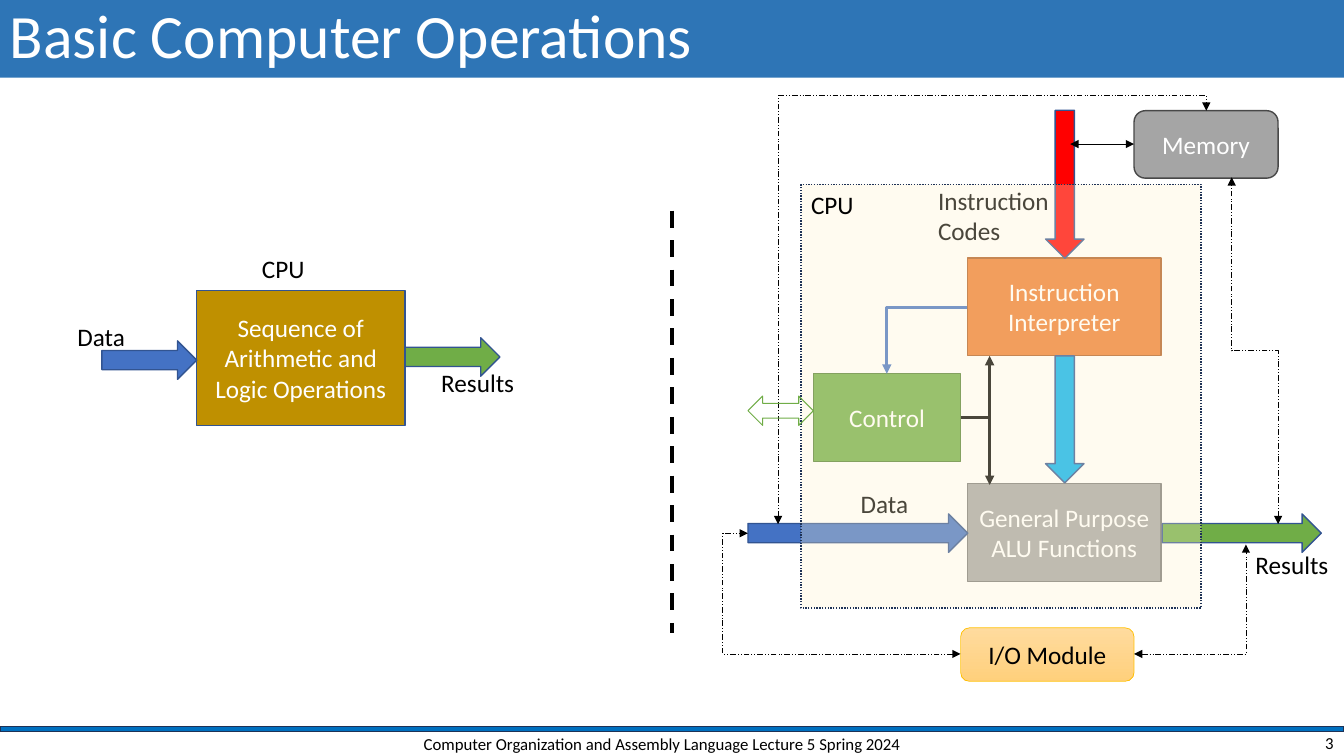
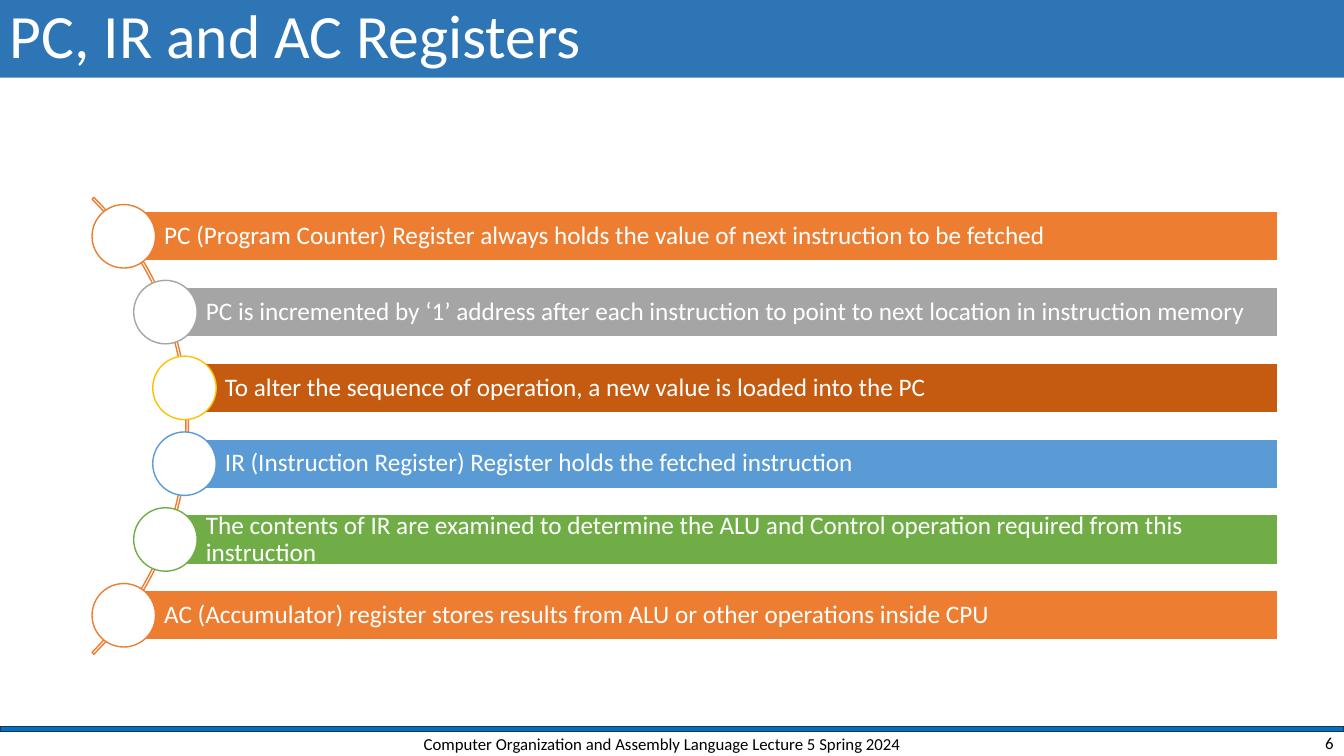
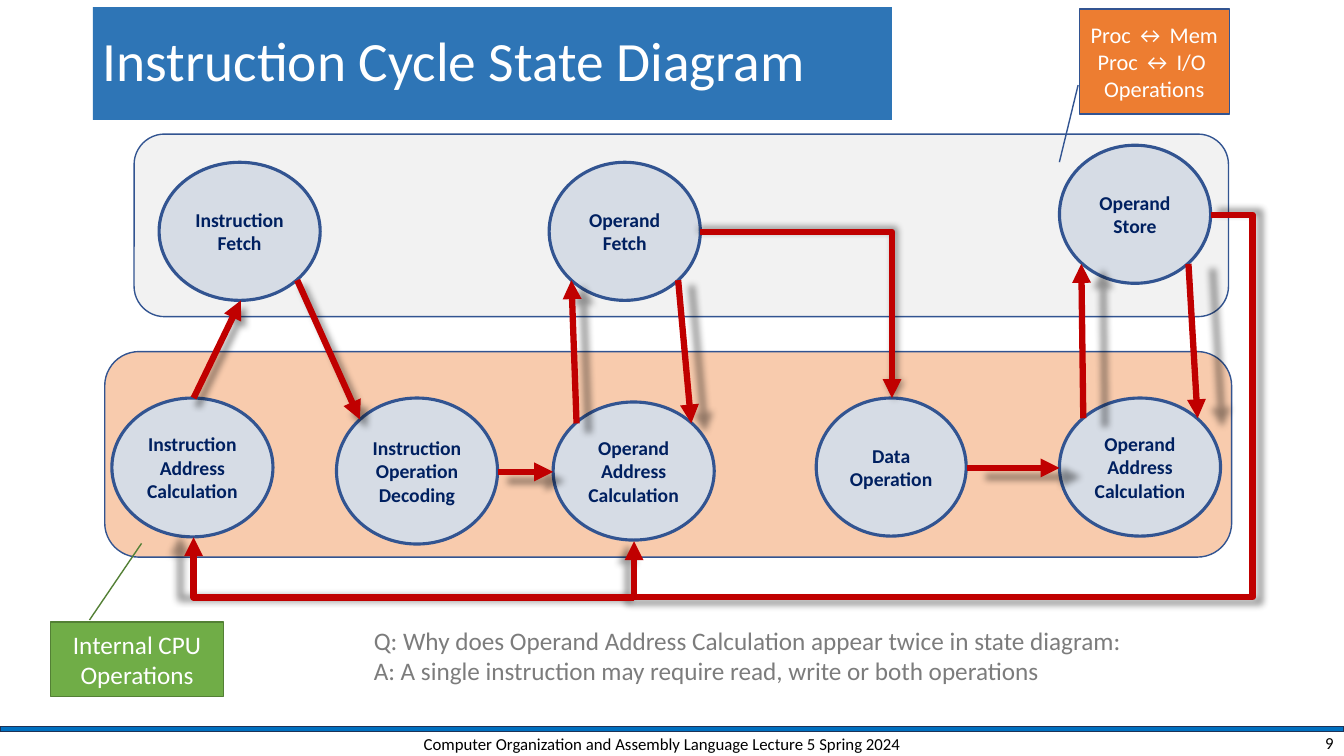
from lxml.etree import SubElement as Sub
from pptx import Presentation
from pptx.dml.color import RGBColor as RGB
from pptx.enum.dml import MSO_LINE as Dash
from pptx.enum.shapes import MSO_CONNECTOR as Con, MSO_SHAPE as Geo
from pptx.enum.text import MSO_ANCHOR as Anchor, MSO_AUTO_SIZE as Auto, PP_ALIGN as Align
from pptx.oxml.ns import qn
from pptx.util import Cm, Pt

INK = {
    "white": "FFFFFF", "black": "000000", "title": "2E75B6", "band": "0070C0",
    "edge": "1E3256", "rim": "325491", "blue": "4472C4", "sky": "5B9BD5",
    "cyan": "00B0F0", "green": "70AD47", "moss": "538035", "orange": "ED7D31",
    "rust": "AF5C24", "brown": "C55A11", "gold": "FFC000", "ochre": "BF9000",
    "cream": "FFF2CC", "peach": "F8CBAD", "honey": "FFDB9E", "amber": "FFD07C",
    "grey": "A5A5A5", "slate": "7A7A7A", "coal": "484848", "mist": "F2F2F2",
    "state": "D6DCE5", "navy": "002060", "red": "FF0000", "crimson": "C00000",
    "note": "7C7C7C",
}
WIDE, HIGH = 33.87, 19.05
COURSE = "Computer Organization and Assembly Language Lecture 5 Spring 2024"

# Text formats
BODY = {"size": Pt(18), "name": "Calibri"}
HEAD = {**BODY, "size": Pt(44)}
FOOT = {**BODY, "size": Pt(12)}
STATE = {**BODY, "size": Pt(14), "bold": True}
CENTER = {"alignment": Align.CENTER}
TIGHT = {"alignment": Align.LEFT, "line_spacing": 0.9}

# Line formats
THIN = {"width": Pt(0.5)}
DOTTED = {**THIN, "dash_style": Dash.DASH_DOT_DOT}
BOLD = {"width": Pt(2.25)}
FLOW = {"width": Pt(4.5)}


def put(item, form):
    for key, val in form.items():
        setattr(item, key, val)


def tone(name):
    return RGB.from_string(INK[name])


def write(item, text, ink="white", font=BODY, para=CENTER, frame=None):
    body = item.text_frame
    put(body, {"word_wrap": True, "vertical_anchor": Anchor.MIDDLE, **(frame or {})})
    body.text = text
    for par in body.paragraphs:
        put(par, para)
        put(par.font, font)
        par.font.color.rgb = tone(ink)


def shape(slide, geo, at, fill=None, rim="rim", width=1, adj=()):
    item = slide.shapes.add_shape(geo, *map(Cm, at))
    item.shadow.inherit = False
    if fill:
        item.fill.solid()
        item.fill.fore_color.rgb = tone(fill)
    else:
        item.fill.background()
    if rim:
        item.line.color.rgb = tone(rim)
        item.line.width = Pt(width)
    else:
        item.line.fill.background()
    for num, val in enumerate(adj):
        item.adjustments[num] = val
    return item


def label(slide, text, at, ink="black"):
    box = slide.shapes.add_textbox(*map(Cm, at))
    frame = {"word_wrap": False, "auto_size": Auto.SHAPE_TO_FIT_TEXT,
             "vertical_anchor": Anchor.TOP}
    write(box, text, ink, para={"alignment": Align.LEFT}, frame=frame)


def wire(slide, ends, form, ink="black", heads="t", bend=None, adj=(), shade=False):
    """Straight line, or an elbow whose first leg is level (preset number in bend)."""
    kind = Con.ELBOW if bend else Con.STRAIGHT
    item = slide.shapes.add_connector(kind, *map(Cm, ends))
    props = item._element.spPr
    if bend:
        geom = props.find(qn("a:prstGeom"))
        geom.set("prst", f"bentConnector{bend}")
        guides = geom.find(qn("a:avLst"))
        if guides is None:
            guides = Sub(geom, qn("a:avLst"))
        for num, val in enumerate(adj, 1):
            Sub(guides, qn("a:gd"), name=f"adj{num}", fmla=f"val {round(val * 100000)}")
    item.line.color.rgb = tone(ink)
    put(item.line, form)
    line = props.find(qn("a:ln"))
    for key, tag in (("h", "a:headEnd"), ("t", "a:tailEnd")):
        if key in heads:
            Sub(line, qn(tag), type="triangle")
    effects = Sub(props, qn("a:effectLst"))
    if shade:
        glow = Sub(effects, qn("a:outerShdw"), blurRad=str(Pt(5)), sx="102000",
                   sy="102000", algn="ctr", rotWithShape="0")
        color = Sub(glow, qn("a:srgbClr"), val=INK["black"])
        Sub(color, qn("a:alpha"), val="40000")
    return item


def riser(slide, ends, adj):
    """Dotted elbow that leaves upwards: the level elbow turned by 270 degrees."""
    left, low, right, top = ends
    midx, midy = (left + right) / 2, (low + top) / 2
    side, rise = (right - left) / 2, (low - top) / 2
    turned = (midx - rise, midy - side, midx + rise, midy + side)
    item = wire(slide, turned, DOTTED, heads="ht", bend=3, adj=(adj,))
    item._element.spPr.find(qn("a:xfrm")).set("rot", str(270 * 60000))


def start(deck, title, page, at=(0, 0, WIDE, 1.96), size=44, under=()):
    """New slide with band, title, footer and page number."""
    slide = deck.slides.add_slide(deck.slide_layouts[6])
    shape(slide, Geo.RECTANGLE, (0, 18.31, WIDE, 0.13), "band", "edge")
    for spot, fill in under:
        shape(slide, Geo.ROUNDED_RECTANGLE, spot, fill)
    bar = shape(slide, Geo.RECTANGLE, at, "title", None)
    write(bar, title, font={**HEAD, "size": Pt(size)}, para=TIGHT)
    for text, spot, side in (
        (COURSE, (9.96, 18.39, 13.46, 0.71), Align.CENTER),
        (str(page), (26.24, 18.39, 7.62, 0.64), Align.RIGHT),
    ):
        box = slide.shapes.add_textbox(*map(Cm, spot))
        write(box, text, "black", FOOT, {"alignment": side})
    return slide


def basics(deck):
    slide = start(deck, "Basic Computer Operations", 3)

    # Blocks
    for text, at, fill, rim in (
        ("Sequence of Arithmetic and Logic Operations", (4.95, 7.32, 5.26, 3.4), "ochre", "rim"),
        ("Instruction Interpreter", (24.38, 6.5, 4.88, 2.46), "orange", "rust"),
        ("Control", (20.5, 9.42, 3.71, 2.21), "green", "moss"),
        ("General Purpose ALU Functions", (24.38, 12.19, 4.88, 2.46), "grey", "slate"),
    ):
        write(shape(slide, Geo.RECTANGLE, at, fill, rim), text)

    # Block arrows
    for geo, at, fill in (
        (Geo.RIGHT_ARROW, (2.57, 8.59, 2.39, 0.97), "blue"),
        (Geo.RIGHT_ARROW, (10.21, 8.51, 2.39, 0.97), "green"),
        (Geo.DOWN_ARROW, (26.35, 2.78, 0.97, 3.73), "red"),
        (Geo.RIGHT_ARROW, (18.85, 12.95, 5.54, 0.97), "blue"),
        (Geo.RIGHT_ARROW, (29.29, 12.95, 4.01, 0.97), "green"),
        (Geo.DOWN_ARROW, (26.35, 8.97, 0.97, 3.2), "cyan"),
    ):
        shape(slide, geo, at, fill)

    # Labels under the CPU veil
    label(slide, "Instruction\nCodes", (23.39, 4.55, 3.33, 1.8))
    label(slide, "Data", (21.44, 12.17, 1.73, 1.02))

    # Control wires and divider
    wire(slide, (24.21, 10.52, 24.94, 8.97), BOLD, bend=2)
    wire(slide, (24.94, 10.52, 24.94, 12.22), BOLD)
    wire(slide, (24.38, 7.75, 22.35, 9.42), BOLD, "blue", bend=2)
    wire(slide, (16.94, 5.31, 16.94, 15.95),
         {"width": Pt(3), "dash_style": Dash.DASH}, heads="")

    # CPU veil
    veil = shape(slide, Geo.RECTANGLE, (20.19, 4.65, 10.08, 10.67), "cream", "edge")
    veil.line.dash_style = Dash.ROUND_DOT
    color = veil._element.spPr.find(qn("a:solidFill")).find(qn("a:srgbClr"))
    Sub(color, qn("a:alpha"), val="29000")

    # Labels on top
    for text, at in (
        ("CPU", (20.19, 4.65, 1.6, 1.02)), ("CPU", (6.35, 6.27, 1.6, 1.02)),
        ("Data", (1.7, 7.98, 1.73, 1.02)), ("Results", (10.87, 9.14, 2.36, 1.02)),
        ("Results", (31.39, 13.72, 2.36, 1.02)),
    ):
        label(slide, text, at)

    # Memory and I/O
    store = shape(slide, Geo.ROUNDED_RECTANGLE, (28.58, 2.79, 3.63, 1.7), "grey", "coal")
    write(store, "Memory")
    port = shape(slide, Geo.ROUNDED_RECTANGLE, (24.21, 15.82, 4.37, 1.35), None, "gold", 0.5)
    port.fill.gradient()
    port.fill.gradient_angle = 270
    for stop, name in zip(port.fill.gradient_stops, ("honey", "amber")):
        stop.color.rgb = tone(name)
    write(port, "I/O Module", "black")

    # Outer wires
    wire(slide, (28.58, 3.63, 26.97, 3.63), THIN, heads="ht")
    wire(slide, (24.21, 16.48, 18.85, 13.44), DOTTED, heads="ht", bend=3, adj=(1.118,))
    wire(slide, (28.58, 16.48, 31.4, 13.72), DOTTED, heads="ht", bend=2)
    riser(slide, (32.21, 13.21, 31.04, 4.47), 0.5)
    riser(slide, (19.61, 13.21, 30.4, 2.79), 1.036)
    shape(slide, Geo.LEFT_RIGHT_ARROW, (18.85, 9.98, 1.65, 0.74), None, "green", 0.75)


def regs(deck):
    slide = start(deck, "PC, IR and AC Registers", 6)
    shape(slide, Geo.BLOCK_ARC, (-11.53, 2.59, 16.28, 16.28), None, "orange",
          adj=(189, 27, 0.004))
    rows = (
        ("PC (Program Counter) Register always holds the value of next instruction"
         " to be fetched", 3.12, "orange", "orange"),
        ("PC is incremented by ‘1’ address after each instruction to point to next"
         " location in instruction memory", 4.17, "grey", "grey"),
        ("To alter the sequence of operation, a new value is loaded into the PC",
         4.65, "brown", "gold"),
        ("IR (Instruction Register) Register holds the fetched instruction",
         4.65, "sky", "sky"),
        ("The contents of IR are examined to determine the ALU and Control operation"
         " required from this instruction", 4.17, "green", "green"),
        ("AC (Accumulator) register stores results from ALU or other operations"
         " inside CPU", 3.12, "orange", "orange"),
    )
    right, top, step, tall, disc = 32.21, 5.33, 1.91, 1.25, 1.6
    frame = {"margin_left": Cm(1.02), "margin_right": Cm(0.13)}
    for num, (text, left, fill, rim) in enumerate(rows):
        y = top + num * step
        bar = shape(slide, Geo.RECTANGLE, (left, y, right - left, tall), fill, "white")
        write(bar, text, para=TIGHT, frame=frame)
        spot = (left - disc / 2, y + (tall - disc) / 2, disc, disc)
        shape(slide, Geo.OVAL, spot, "white", rim)


def cycle(deck):
    zones = (((2.64, 8.86, 28.4, 5.18), "peach"), ((3.38, 3.38, 27.58, 4.6), "mist"))
    slide = start(deck, "Instruction Cycle State Diagram", 9,
                  (2.34, 0.18, 20.14, 2.84), 39.6, zones)

    # States
    for text, left, top, wide, tall in (
        ("Instruction Fetch", 4.01, 4.09, 4.06, 3.48),
        ("Operand\nFetch", 13.84, 4.09, 3.81, 3.48),
        ("Instruction Address Calculation", 2.82, 10.03, 4.06, 3.5),
        ("Instruction Operation Decoding", 8.48, 10.03, 4.06, 3.68),
        ("Operand Address Calculation", 13.94, 10.13, 4.06, 3.48),
        ("Data Operation", 20.57, 10.03, 3.78, 3.48),
        ("Operand Address Calculation", 26.7, 10.03, 4.06, 3.48),
        ("Operand\nStore", 26.7, 3.66, 3.81, 3.48),
    ):
        oval = shape(slide, Geo.OVAL, (left, top, wide, tall), "state", width=2.25)
        write(oval, text, "navy", STATE)

    # Transitions
    for ends, bend, adj in (
        ((4.88, 10.03, 6.07, 7.57), None, ()),
        ((7.49, 7.06, 9.07, 10.57), None, ()),
        ((12.55, 11.89, 13.94, 11.89), None, ()),
        ((14.53, 10.67, 14.4, 7.06), None, ()),
        ((17.09, 7.06, 17.42, 10.67), None, ()),
        ((17.65, 5.84, 22.48, 10.03), 2, ()),
        ((24.36, 11.79, 26.7, 11.79), None, ()),
        ((27.3, 10.54, 27.25, 6.65), None, ()),
        ((29.95, 6.65, 30.18, 10.54), None, ()),
        ((30.51, 5.41, 15.98, 13.64), 4, (-0.073, 1.171)),
        ((15.98, 15.06, 4.88, 13.54), 2, ()),
    ):
        wire(slide, ends, FLOW, "crimson", bend=bend, adj=adj, shade=True)

    # Callouts and question
    for text, at, fill, rim, size, adj in (
        ("Proc ↔ Mem\nProc ↔ I/O \nOperations", (27.2, 0.23, 3.78, 2.64),
         "orange", "rim", 16, (0.726, -0.008, 1.461, -0.133)),
        ("Internal CPU Operations", (1.27, 15.67, 4.37, 1.88),
         "green", "moss", 18, (-0.025, 0.226, -1.052, 0.526)),
    ):
        note = shape(slide, Geo.LINE_CALLOUT_1, at, fill, rim, adj=adj)
        write(note, text, font={**BODY, "size": Pt(size)})
    label(slide, "Q: Why does Operand Address Calculation appear twice in state diagram:\n"
          "A: A single instruction may require read, write or both operations",
          (9.17, 15.62, 19.58, 1.8), "note")


def main():
    deck = Presentation()
    put(deck, {"slide_width": Cm(WIDE), "slide_height": Cm(HIGH)})
    for build in (basics, regs, cycle):
        build(deck)
    deck.save("out.pptx")


if __name__ == "__main__":
    main()
